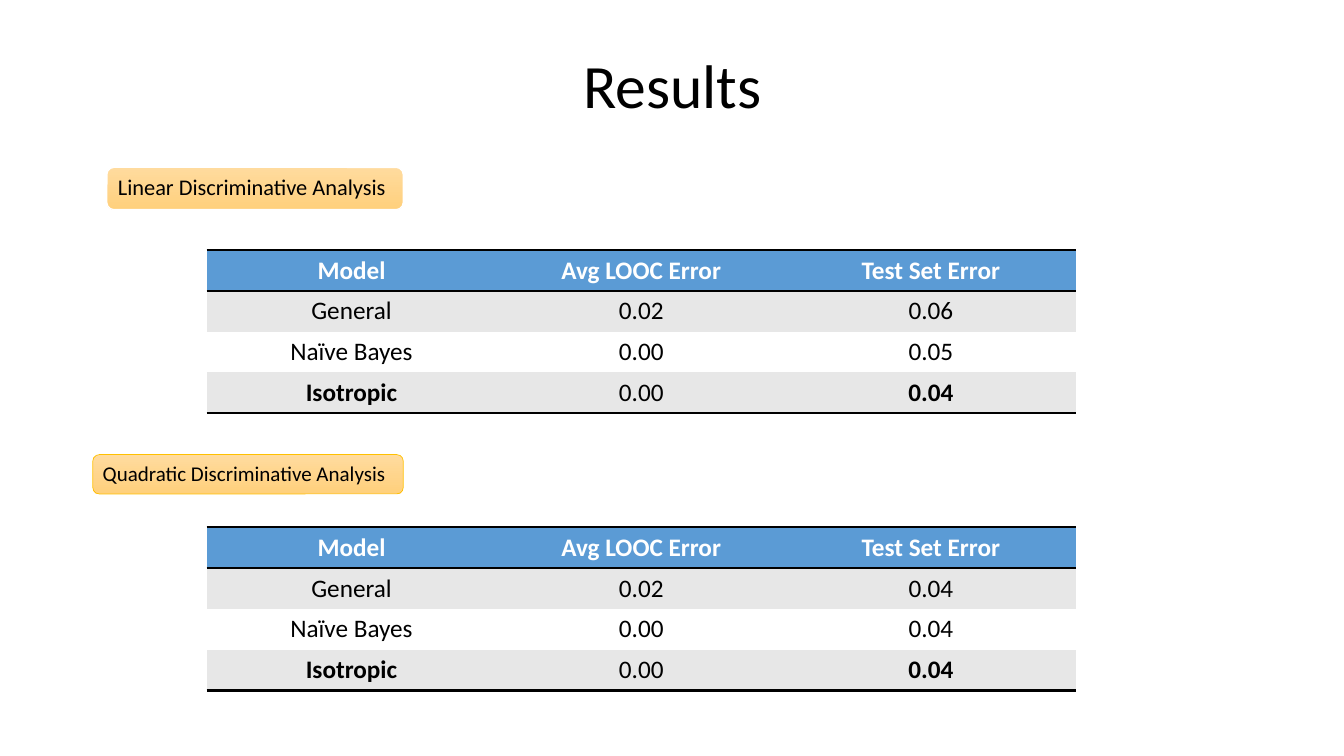
from lxml.etree import SubElement
from pptx import Presentation
from pptx.dml.color import RGBColor
from pptx.enum.shapes import MSO_SHAPE
from pptx.enum.text import MSO_ANCHOR, PP_ALIGN
from pptx.oxml.ns import qn
from pptx.util import Inches, Pt

COLORS = {
    "text": "000000",
    "rule": "000000",
    "header": "5B9BD5",
    "band": "E7E7E7",
    "white": "FFFFFF",
    "label_top": "FFDB9E",
    "label_bottom": "FFD07C",
    "gold": "FFC000",
}
HEADER = ("Model", "Avg LOOC Error", "Test Set Error")
LINEAR_ROWS = (
    ("General", "0.02", "0.06"),
    ("Naïve Bayes", "0.00", "0.05"),
    ("Isotropic", "0.00", "0.04"),
)
QUADRATIC_ROWS = (
    ("General", "0.02", "0.04"),
    ("Naïve Bayes", "0.00", "0.04"),
    ("Isotropic", "0.00", "0.04"),
)


def rgb(name):
    return RGBColor.from_string(COLORS[name])


def write_text(frame, text, size=18, color="text", bold=False,
               align=PP_ALIGN.CENTER, spacing=1.0):
    para = frame.paragraphs[0]
    para.alignment = align
    para.line_spacing = spacing
    span = para.add_run()
    span.text = text
    span.font.name = "Calibri"
    span.font.size = Pt(size)
    span.font.bold = bold
    span.font.color.rgb = rgb(color)


def add_title(page, box, text):
    frame = page.shapes.add_textbox(*map(Inches, box)).text_frame
    frame.word_wrap = True
    frame.vertical_anchor = MSO_ANCHOR.MIDDLE
    write_text(frame, text, size=44, spacing=0.9)


def add_label(page, box, text, size, inset, line_color, line_width):
    label = page.shapes.add_shape(MSO_SHAPE.ROUNDED_RECTANGLE, *map(Inches, box))
    label.shadow.inherit = False
    label.fill.gradient()
    label.fill.gradient_angle = 270
    for stop, name in zip(label.fill.gradient_stops, ("label_top", "label_bottom")):
        stop.color.rgb = rgb(name)
    label.line.color.rgb = rgb(line_color)
    label.line.width = Pt(line_width)
    frame = label.text_frame
    frame.word_wrap = True
    frame.vertical_anchor = MSO_ANCHOR.MIDDLE
    frame.margin_left = frame.margin_right = Inches(inset)
    frame.margin_top = frame.margin_bottom = 0
    write_text(frame, text, size=size, align=PP_ALIGN.LEFT, spacing=0.9)


def set_borders(cell, ruled_sides):
    """Rule the given sides (T, B) and clear the others; call before filling."""
    properties = cell._tc.get_or_add_tcPr()
    for side in "LRTB":
        border = SubElement(properties, qn(f"a:ln{side}"), w=str(Pt(2)))
        if side in ruled_sides:
            fill = SubElement(border, qn("a:solidFill"))
            SubElement(fill, qn("a:srgbClr"), val=COLORS["rule"])
        else:
            SubElement(border, qn("a:noFill"))


def add_results_table(page, box, results):
    rows = (HEADER, *results)
    last = len(rows) - 1
    left, top, width, height = map(Inches, box)
    table = page.shapes.add_table(
        len(rows), len(HEADER), left, top, width, height).table
    for row_index, row in enumerate(rows):
        is_header = row_index == 0
        fill = "header" if is_header else "band" if row_index % 2 else "white"
        sides = ("T" if row_index <= 1 else "") + ("B" if row_index in (0, last) else "")
        for column_index, text in enumerate(row):
            cell = table.cell(row_index, column_index)
            set_borders(cell, sides)
            cell.fill.solid()
            cell.fill.fore_color.rgb = rgb(fill)
            is_best = row_index == last and column_index != 1
            write_text(cell.text_frame, text, bold=is_header or is_best,
                       color="white" if is_header else "text")


def main():
    deck = Presentation()
    deck.slide_width, deck.slide_height = Inches(13.33), Inches(7.5)
    page = deck.slides.add_slide(deck.slide_layouts[6])
    add_title(page, (0.92, 0.4, 11.5, 0.95), "Results")
    add_results_table(page, (2.05, 2.48, 8.62, 1.62), LINEAR_ROWS)
    add_results_table(page, (2.05, 5.23, 8.62, 1.62), QUADRATIC_ROWS)
    add_label(page, (1.06, 1.66, 2.94, 0.42), "Linear Discriminative Analysis",
              size=16, inset=0.09, line_color="white", line_width=1)
    add_label(page, (0.92, 4.51, 3.08, 0.39), "Quadratic Discriminative Analysis",
              size=15, inset=0.08, line_color="gold", line_width=0.5)
    deck.save("out.pptx")


if __name__ == "__main__":
    main()
